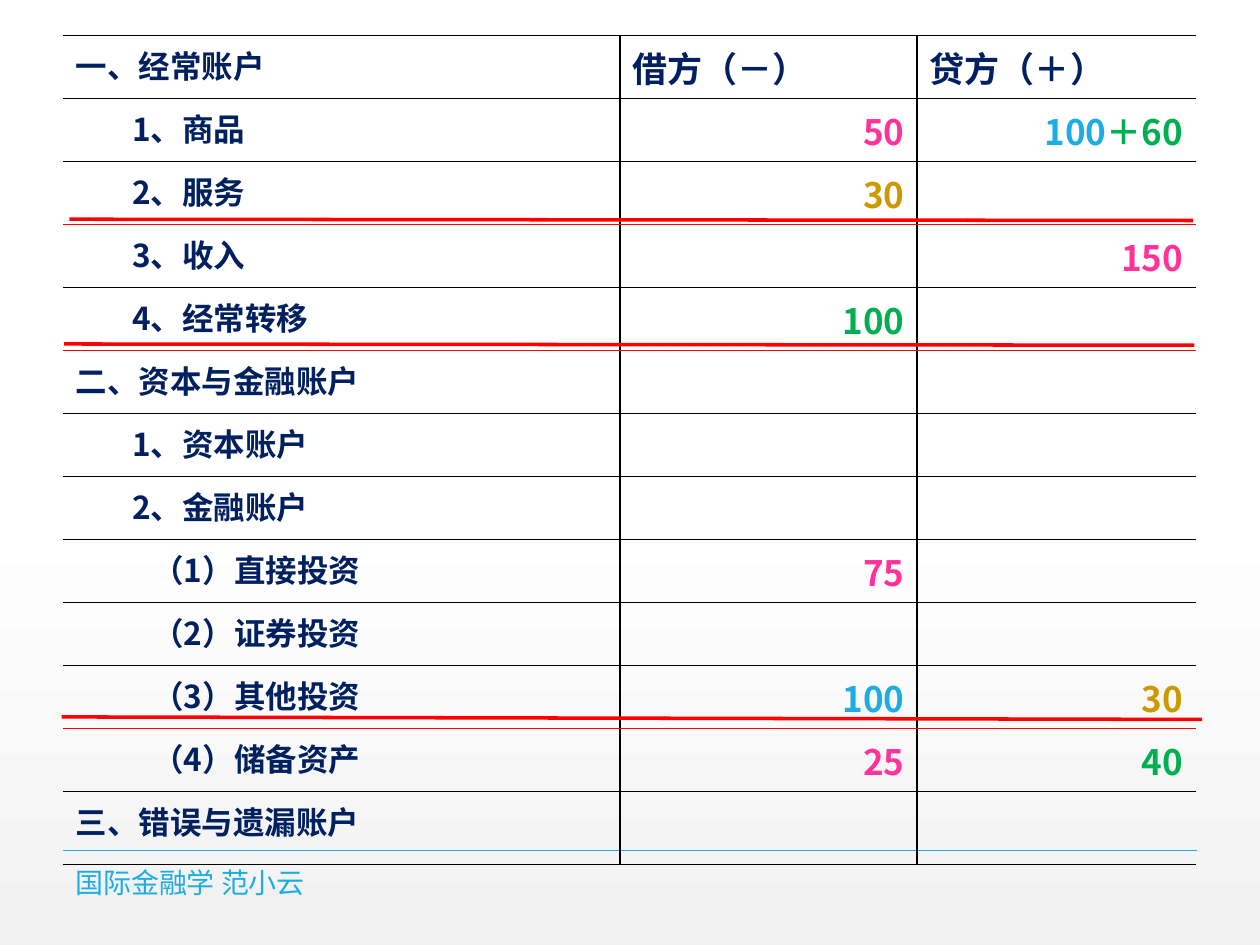
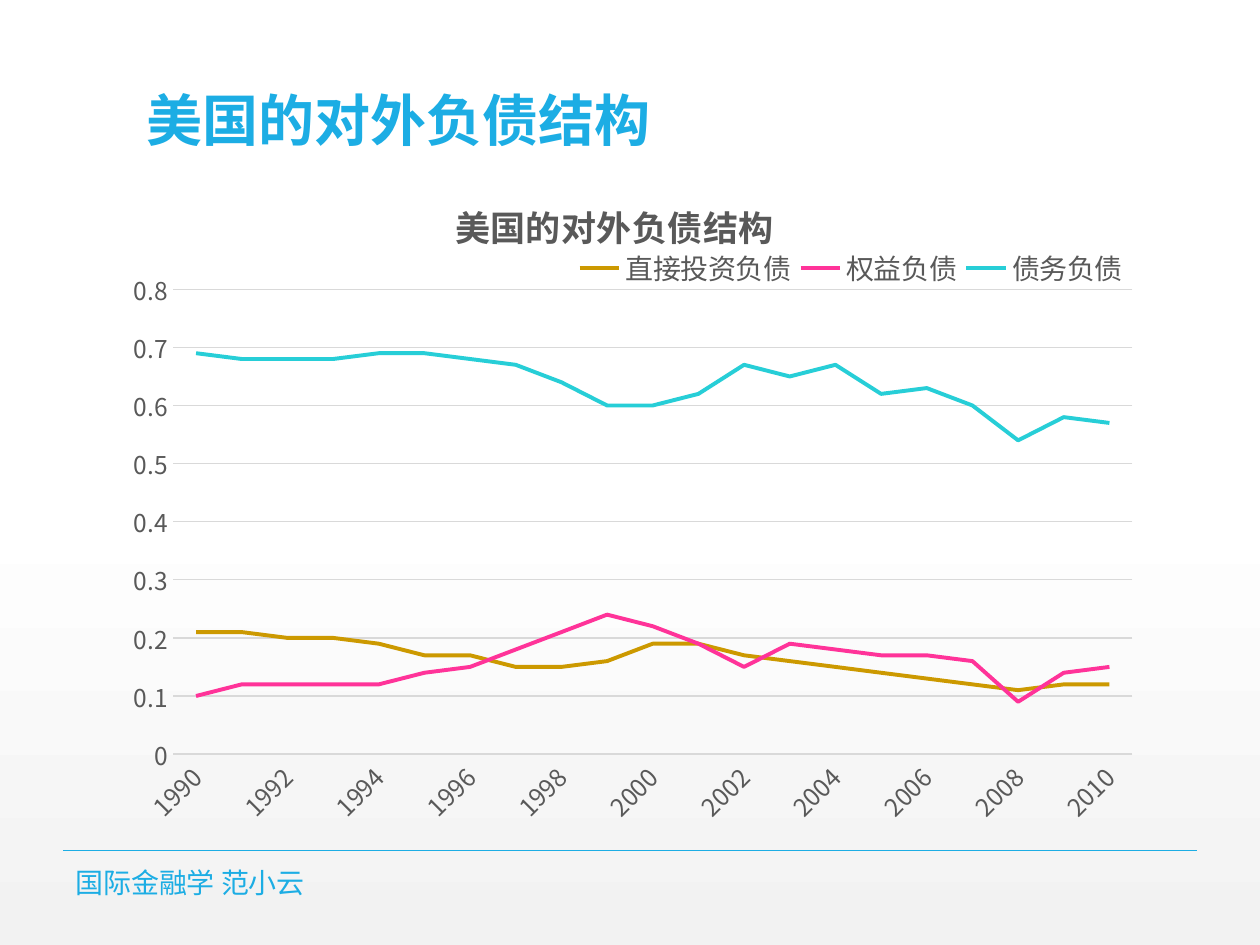
from typing import NamedTuple, Optional

from lxml.etree import SubElement
from pptx import Presentation
from pptx.chart.data import CategoryChartData
from pptx.dml.color import RGBColor
from pptx.enum.chart import XL_CHART_TYPE as ChartType
from pptx.enum.chart import XL_LEGEND_POSITION as LegendPosition
from pptx.enum.chart import XL_TICK_MARK as TickMark
from pptx.enum.shapes import MSO_CONNECTOR as Connector
from pptx.enum.text import MSO_ANCHOR as Anchor
from pptx.enum.text import MSO_AUTO_SIZE as AutoSize
from pptx.enum.text import PP_ALIGN as Align
from pptx.oxml import parse_xml
from pptx.oxml.ns import nsdecls, qn
from pptx.util import Inches, Pt

CJK_FONT = "Noto Sans CJK SC"
LATIN_FONT = "Arial"
SKY = RGBColor(0x1C, 0xAD, 0xE4)
NAVY = RGBColor(0x00, 0x20, 0x60)
PINK = RGBColor(0xFF, 0x33, 0x99)
GOLD = RGBColor(0xCC, 0x99, 0x00)
GREEN = RGBColor(0x00, 0xB0, 0x50)
TURQUOISE = RGBColor(0x27, 0xCE, 0xD7)
RED = RGBColor(0xFF, 0x00, 0x00)
BLACK = RGBColor(0x00, 0x00, 0x00)
WHITE = RGBColor(0xFF, 0xFF, 0xFF)
PALE_GREY = RGBColor(0xF2, 0xF2, 0xF2)
GRID_GREY = RGBColor(0xD9, 0xD9, 0xD9)
TEXT_GREY = RGBColor(0x59, 0x59, 0x59)

BACKGROUND_STOPS = ((0, WHITE), (53, WHITE), (100, PALE_GREY))
LEVEL_INDENTS = (0, 0.45, 0.61)


class Rule(NamedTuple):
    x1: float
    y1: float
    x2: float
    y2: float
    color: RGBColor
    width: float


class Amount(NamedTuple):
    text: str
    color: RGBColor
    size: float = 20


class Account(NamedTuple):
    label: str
    level: int = 0
    debit: tuple[Amount, ...] = ()
    credit: tuple[Amount, ...] = ()


class Liability(NamedTuple):
    name: str
    color: RGBColor
    shares: tuple[float, ...]


FOOTER_RULE = Rule(0.5, 6.75, 9.5, 6.75, SKY, 1)
SECTION_RULES = (
    Rule(0.55, 1.74, 9.47, 1.75, RED, 2),
    Rule(0.51, 2.73, 9.48, 2.74, RED, 2),
    Rule(0.49, 5.69, 9.54, 5.71, RED, 2),
)
RED_BELOW_ROWS = (2, 4, 10)
COLUMN_WIDTHS = (4.42, 2.36, 2.21)

ACCOUNTS = (
    Account("一、经常账户", 0, (Amount("借方（－）", NAVY),), (Amount("贷方（＋）", NAVY),)),
    Account("1、商品", 1, (Amount("50", PINK),), (Amount("100", SKY), Amount("＋60", GREEN))),
    Account("2、服务", 1, (Amount("30", GOLD),)),
    Account("3、收入", 1, (), (Amount("150", PINK),)),
    Account("4、经常转移", 1, (Amount("100", GREEN),)),
    Account("二、资本与金融账户"),
    Account("1、资本账户", 1),
    Account("2、金融账户", 1),
    Account("（1）直接投资", 2, (Amount("75", PINK),)),
    Account("（2）证券投资", 2),
    Account("（3）其他投资", 2, (Amount("100", SKY),), (Amount("30", GOLD),)),
    Account("（4）储备资产", 2, (Amount("25", PINK),), (Amount("40", GREEN),)),
    Account("三、错误与遗漏账户"),
)

YEARS = range(1990, 2011)
LIABILITIES = (
    Liability("直接投资负债", GOLD, (
        0.21, 0.21, 0.2, 0.2, 0.19, 0.17, 0.17, 0.15, 0.15, 0.16, 0.19,
        0.19, 0.17, 0.16, 0.15, 0.14, 0.13, 0.12, 0.11, 0.12, 0.12)),
    Liability("权益负债", PINK, (
        0.1, 0.12, 0.12, 0.12, 0.12, 0.14, 0.15, 0.18, 0.21, 0.24, 0.22,
        0.19, 0.15, 0.19, 0.18, 0.17, 0.17, 0.16, 0.09, 0.14, 0.15)),
    Liability("债务负债", TURQUOISE, (
        0.69, 0.68, 0.68, 0.68, 0.69, 0.69, 0.68, 0.67, 0.64, 0.6, 0.6,
        0.62, 0.67, 0.65, 0.67, 0.62, 0.63, 0.6, 0.54, 0.58, 0.57)),
)


def style_font(font, size: float, color: RGBColor, bold: bool = False,
               name: str = CJK_FONT) -> None:
    font.size = Pt(size)
    font.bold = bold
    font.name = name
    font.color.rgb = color


def add_run(paragraph, text: str, size: float, color: RGBColor,
            bold: bool = False, name: str = CJK_FONT) -> None:
    run = paragraph.add_run()
    run.text = text
    style_font(run.font, size, color, bold, name)
    SubElement(run._r.get_or_add_rPr(), qn("a:ea"), typeface=CJK_FONT)


def add_rule(slide, rule: Rule):
    line = slide.shapes.add_connector(
        Connector.STRAIGHT, Inches(rule.x1), Inches(rule.y1),
        Inches(rule.x2), Inches(rule.y2))
    line.line.color.rgb = rule.color
    line.line.width = Pt(rule.width)
    SubElement(line._element.spPr, qn("a:effectLst"))
    return line


def set_master_background(master) -> None:
    fill = master.background.fill
    fill.gradient()
    fill.gradient_angle = 270
    stops = master.element.find(".//" + qn("a:gsLst"))
    for stop in list(stops):
        stops.remove(stop)
    for percent, color in BACKGROUND_STOPS:
        stop = SubElement(stops, qn("a:gs"), pos=str(percent * 1000))
        SubElement(stop, qn("a:srgbClr"), val=str(color))


def add_footer(slide) -> None:
    box = slide.shapes.add_textbox(Inches(0.5), Inches(6.88), Inches(5.03), Inches(0.24))
    frame = box.text_frame
    frame.word_wrap = True
    frame.vertical_anchor = Anchor.MIDDLE
    add_run(frame.paragraphs[0], "国际金融学 范小云", 16, SKY)


def set_border(cell, side: str, color: Optional[RGBColor]) -> None:
    line = SubElement(cell._tc.get_or_add_tcPr(), qn("a:ln" + side), w=str(Pt(1)))
    if color is None:
        SubElement(line, qn("a:noFill"))
    else:
        fill = SubElement(line, qn("a:solidFill"))
        SubElement(fill, qn("a:srgbClr"), val=str(color))


def format_cell(cell, row: int, column: int) -> None:
    """Rule the inside and the top and bottom edges, leaving the sides open."""
    last = len(COLUMN_WIDTHS) - 1
    set_border(cell, "L", BLACK if column > 0 else None)
    set_border(cell, "R", BLACK if column < last else None)
    set_border(cell, "T", RED if row - 1 in RED_BELOW_ROWS else BLACK)
    set_border(cell, "B", RED if row in RED_BELOW_ROWS else BLACK)
    cell.fill.background()


def add_accounts_table(slide) -> None:
    row_heights = [0.5] * (len(ACCOUNTS) - 1) + [0.58]
    table = slide.shapes.add_table(
        len(ACCOUNTS), len(COLUMN_WIDTHS), Inches(0.5), Inches(0.28),
        Inches(sum(COLUMN_WIDTHS)), Inches(sum(row_heights))).table
    table.first_row = table.horz_banding = False
    for column, width in zip(table.columns, COLUMN_WIDTHS):
        column.width = Inches(width)
    for row, (account, height) in enumerate(zip(ACCOUNTS, row_heights)):
        table.rows[row].height = Inches(height)
        contents = ((Amount(account.label, NAVY, 18),), account.debit, account.credit)
        for column, amounts in enumerate(contents):
            cell = table.cell(row, column)
            format_cell(cell, row, column)
            paragraph = cell.text_frame.paragraphs[0]
            if column == 0:
                indent = Inches(LEVEL_INDENTS[account.level])
                paragraph._p.get_or_add_pPr().set("marL", str(indent))
            elif row > 0:
                paragraph.alignment = Align.RIGHT
            for amount in amounts:
                add_run(paragraph, amount.text, amount.size, amount.color, bold=True)


def set_layout(parent, index: int, target: str = "", **fractions: float) -> None:
    """Place a chart part by fractions of the chart's size."""
    current = parent.find(qn("c:layout"))
    if current is not None:
        parent.remove(current)
    parts = [f'<c:layoutTarget val="{target}"/>'] if target else []
    parts += [f'<c:{axis}Mode val="edge"/>' for axis in "xy"]
    parts += [f'<c:{key} val="{value}"/>' for key, value in fractions.items()]
    parent.insert(index, parse_xml(
        f'<c:layout {nsdecls("c")}><c:manualLayout>{"".join(parts)}'
        "</c:manualLayout></c:layout>"))


def format_axes(chart) -> None:
    years, shares = chart.category_axis, chart.value_axis
    for axis in (years, shares):
        axis.major_tick_mark = axis.minor_tick_mark = TickMark.NONE
        style_font(axis.tick_labels.font, 14, TEXT_GREY)
    years.format.line.color.rgb = GRID_GREY
    years.format.line.width = Pt(0.75)
    years._element.find(".//" + qn("a:bodyPr")).set("rot", "-2700000")
    skip = parse_xml(f'<c:tickLblSkip {nsdecls("c")} val="2"/>')
    years._element.find(qn("c:noMultiLvlLbl")).addprevious(skip)
    shares.minimum_scale, shares.maximum_scale, shares.major_unit = 0, 0.8, 0.1
    shares.tick_labels.number_format = "General"
    shares.tick_labels.number_format_is_linked = False
    shares.format.line.fill.background()
    shares.major_gridlines.format.line.color.rgb = GRID_GREY
    shares.major_gridlines.format.line.width = Pt(0.75)


def add_liabilities_chart(slide) -> None:
    data = CategoryChartData()
    data.categories = [str(year) for year in YEARS]
    for liability in LIABILITIES:
        data.add_series(liability.name, liability.shares)
    chart = slide.shapes.add_chart(
        ChartType.LINE, Inches(0.5), Inches(1.29), Inches(8.75), Inches(5.59), data).chart
    style_font(chart.font, 10, BLACK, name=LATIN_FONT)
    chart.plots[0].vary_by_categories = False
    for series, liability in zip(chart.plots[0].series, LIABILITIES):
        series.smooth = False
        series.format.line.color.rgb = liability.color
        series.format.line.width = Pt(2.25)
    format_axes(chart)

    chart.has_title = True
    heading = chart.chart_title.text_frame.paragraphs[0]
    add_run(heading, "美国的对外负债结构", 20, TEXT_GREY, bold=True)
    set_layout(chart.chart_title._element, 1, x=0.35, y=0.04)

    chart.has_legend = True
    legend = chart.legend
    legend.position = LegendPosition.BOTTOM
    legend.include_in_layout = False
    style_font(legend.font, 16, TEXT_GREY)
    set_layout(legend._element, 1, x=0.46, y=0.12, w=0.51, h=0.06)

    plot_area = chart._chartSpace.chart.plotArea
    set_layout(plot_area, 0, "inner", x=0.1, y=0.18, w=0.87, h=0.66)


def set_title(slide, text: str) -> None:
    title = slide.shapes.title
    title.left, title.top = Inches(1.06), Inches(0.02)
    title.width, title.height = Inches(7.88), Inches(1.25)
    frame = title.text_frame
    frame.word_wrap = True
    frame.auto_size = AutoSize.NONE
    frame.vertical_anchor = Anchor.BOTTOM
    paragraph = frame.paragraphs[0]
    paragraph.alignment = Align.LEFT
    paragraph.line_spacing = 0.9
    add_run(paragraph, text, 32, SKY, bold=True, name=LATIN_FONT)


def main() -> None:
    deck = Presentation()
    deck.slide_width, deck.slide_height = Inches(10), Inches(7.5)
    master = deck.slide_master
    set_master_background(master)

    accounts_slide = deck.slides.add_slide(deck.slide_layouts.get_by_name("Blank"))
    footer_rule = add_rule(accounts_slide, FOOTER_RULE)
    master.shapes.element.append(footer_rule._element)
    add_footer(accounts_slide)
    add_accounts_table(accounts_slide)
    for rule in SECTION_RULES:
        add_rule(accounts_slide, rule)

    liabilities_slide = deck.slides.add_slide(deck.slide_layouts.get_by_name("Title Only"))
    set_title(liabilities_slide, "美国的对外负债结构")
    add_footer(liabilities_slide)
    add_liabilities_chart(liabilities_slide)

    deck.save("out.pptx")


if __name__ == "__main__":
    main()
